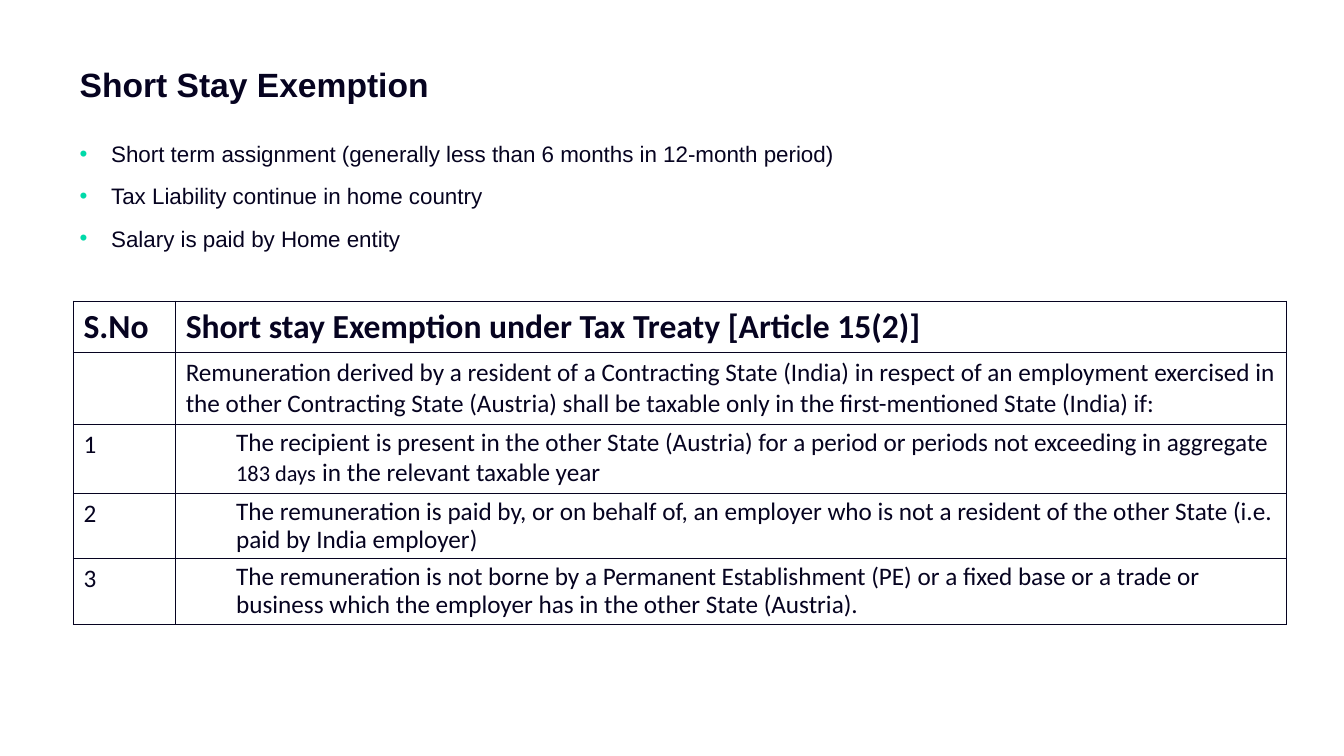
"""Build the Short Stay Exemption slide with its bullets and treaty table."""
from lxml.etree import SubElement
from pptx import Presentation
from pptx.dml.color import RGBColor
from pptx.enum.text import MSO_ANCHOR as Anchor, MSO_AUTO_SIZE as AutoSize, PP_ALIGN as Align
from pptx.oxml.ns import qn
from pptx.util import Pt

TITLE = "Short Stay Exemption"
BULLETS = [
    "Short term assignment (generally less than 6 months in 12-month period)",
    "Tax Liability continue in home country",
    "Salary is paid by Home entity",
]
ROWS = [
    ("S.No", [("Short stay Exemption under Tax Treaty [Article 15(2)]", 24)]),
    ("", [("Remuneration derived by a resident of a Contracting State (India) in respect of "
           "an employment exercised in the other Contracting State (Austria) shall be taxable "
           "only in the first-mentioned State (India) if:", 18)]),
    ("1", [("The recipient is present in the other State (Austria) for a period or periods "
            "not exceeding in aggregate ", 18),
           ("183 days", 16), (" ", 20), ("in the relevant taxable year", 18)]),
    ("2", [("The remuneration is paid by, or on behalf of, an employer who is not a resident "
            "of the other State (i.e. paid by India employer)", 18)]),
    ("3", [("The remuneration is not borne by a Permanent Establishment (PE) or a fixed base "
            "or a trade or business which the employer has in the other State (Austria).", 18)]),
]
COLUMN_WIDTHS = [73, 793.5]
ROW_HEIGHTS = [36.4, 51.4, 49.2, 46.6, 46.6]

INK = RGBColor(0x06, 0x03, 0x20)
GREEN = RGBColor(0x00, 0xDA, 0xA9)
WHITE = RGBColor(0xFF, 0xFF, 0xFF)

FRAME = {"margin_left": Pt(7.2), "margin_right": Pt(7.2), "margin_top": Pt(5.76),
         "margin_bottom": Pt(3.6), "word_wrap": True, "auto_size": AutoSize.NONE,
         "vertical_anchor": Anchor.TOP}


def apply(target, values):
    for name, value in values.items():
        setattr(target, name, value)


def format_font(font, name, size, bold=False):
    apply(font, {"name": name, "size": Pt(size), "bold": bold})
    font.color.rgb = INK


def place(shape, left, top, width, height):
    apply(shape, {"left": Pt(left), "top": Pt(top), "width": Pt(width), "height": Pt(height)})
    apply(shape.text_frame, FRAME)


def add_bullet(paragraph):
    properties = paragraph._p.get_or_add_pPr()
    properties.set("marL", str(Pt(22.5)))
    properties.set("indent", str(-Pt(22.5)))
    color = SubElement(properties, qn("a:buClr"))
    SubElement(color, qn("a:srgbClr"), val=str(GREEN))
    SubElement(properties, qn("a:buFont"), typeface="Arial")
    SubElement(properties, qn("a:buChar"), char="•")


def add_borders(cell):
    properties = cell._tc.get_or_add_tcPr()
    for position, side in enumerate(("lnL", "lnR", "lnT", "lnB")):
        line = SubElement(properties, qn(f"a:{side}"), w=str(Pt(1)))
        fill = SubElement(line, qn("a:solidFill"))
        SubElement(fill, qn("a:srgbClr"), val=str(INK))
        properties.insert(position, line)


def add_title(slide):
    title = slide.shapes.title
    place(title, 49.7, 38.2, 399, 38.2)
    title.text_frame.text = TITLE
    paragraph = title.text_frame.paragraphs[0]
    apply(paragraph, {"alignment": Align.LEFT, "line_spacing": 1.05, "space_before": Pt(0)})
    format_font(paragraph.runs[0].font, "Arial", 24, True)


def add_bullets(slide):
    body = slide.placeholders[1]
    place(body, 49.7, 93.6, 817, 117.4)
    body.text_frame.text = "\n".join(BULLETS)
    for index, paragraph in enumerate(body.text_frame.paragraphs):
        apply(paragraph, {"line_spacing": 1.05, "space_before": Pt(10 if index else 0)})
        add_bullet(paragraph)
        format_font(paragraph.runs[0].font, "Arial", 16)


def fill_cell(cell, runs, bold, indented):
    cell.fill.solid()
    cell.fill.fore_color.rgb = WHITE
    add_borders(cell)
    paragraph = cell.text_frame.paragraphs[0]
    if indented:
        paragraph.line_spacing = 0.9
        paragraph._p.get_or_add_pPr().set("marL", str(Pt(36)))
    format_font(paragraph.font, "Calibri", 18)
    for text, size in runs:
        run = paragraph.add_run()
        run.text = text
        format_font(run.font, "Calibri", size, bold)


def add_treaty_table(slide):
    frame = slide.shapes.add_table(len(ROWS), len(COLUMN_WIDTHS), Pt(52.5), Pt(215.2),
                                   Pt(sum(COLUMN_WIDTHS)), Pt(sum(ROW_HEIGHTS)))
    table = frame.table
    apply(table, {"first_row": False, "horz_banding": False})
    for column, width in zip(table.columns, COLUMN_WIDTHS):
        column.width = Pt(width)
    for index, (number, clause) in enumerate(ROWS):
        table.rows[index].height = Pt(ROW_HEIGHTS[index])
        header = index == 0
        number_runs = [(number, 24 if header else 18)] if number else []
        fill_cell(table.cell(index, 0), number_runs, header, False)
        fill_cell(table.cell(index, 1), clause, header, number.isdigit())


def main():
    presentation = Presentation()
    apply(presentation, {"slide_width": Pt(960), "slide_height": Pt(540)})
    slide = presentation.slides.add_slide(presentation.slide_layouts[1])
    add_title(slide)
    add_bullets(slide)
    add_treaty_table(slide)
    presentation.save("out.pptx")


if __name__ == "__main__":
    main()
